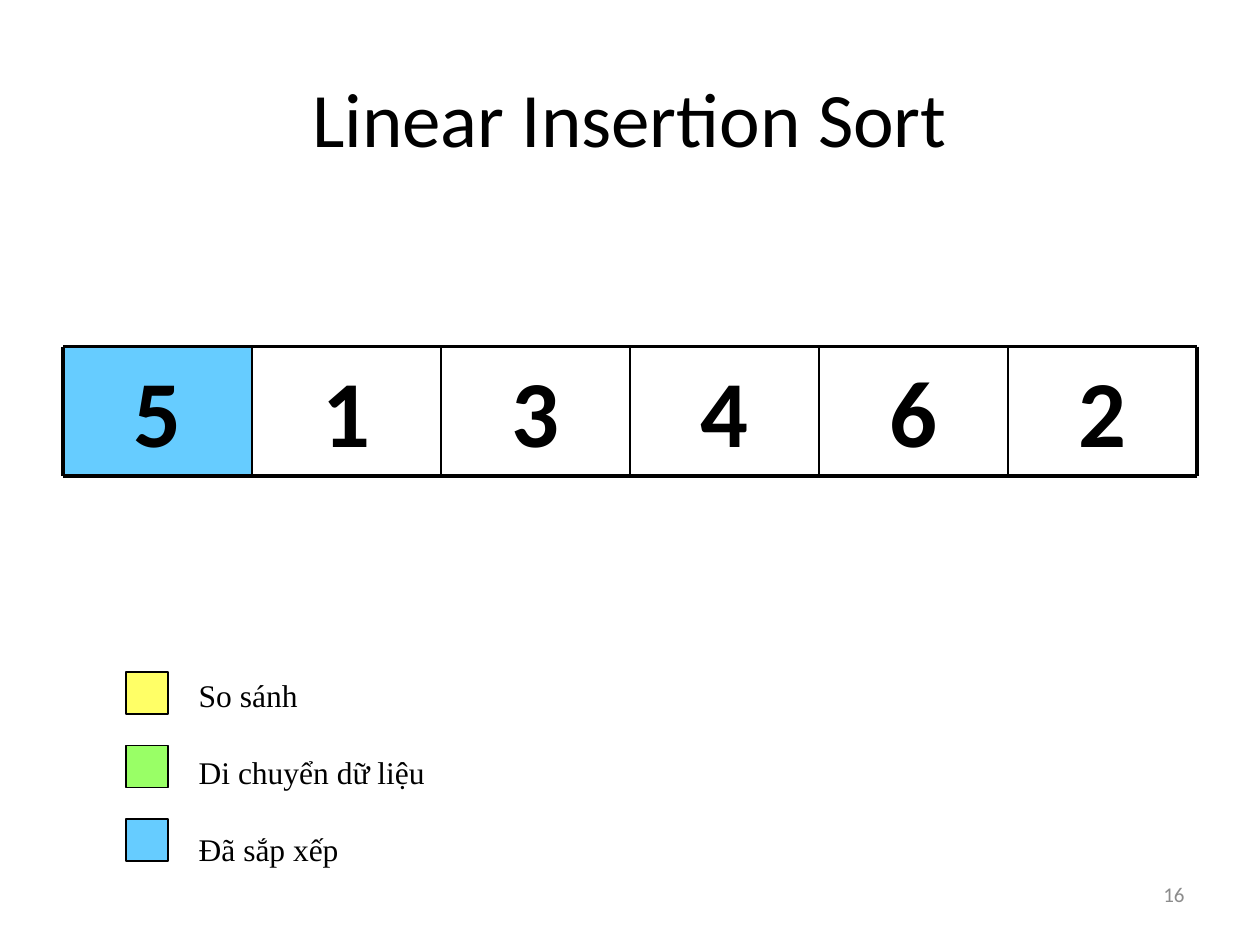
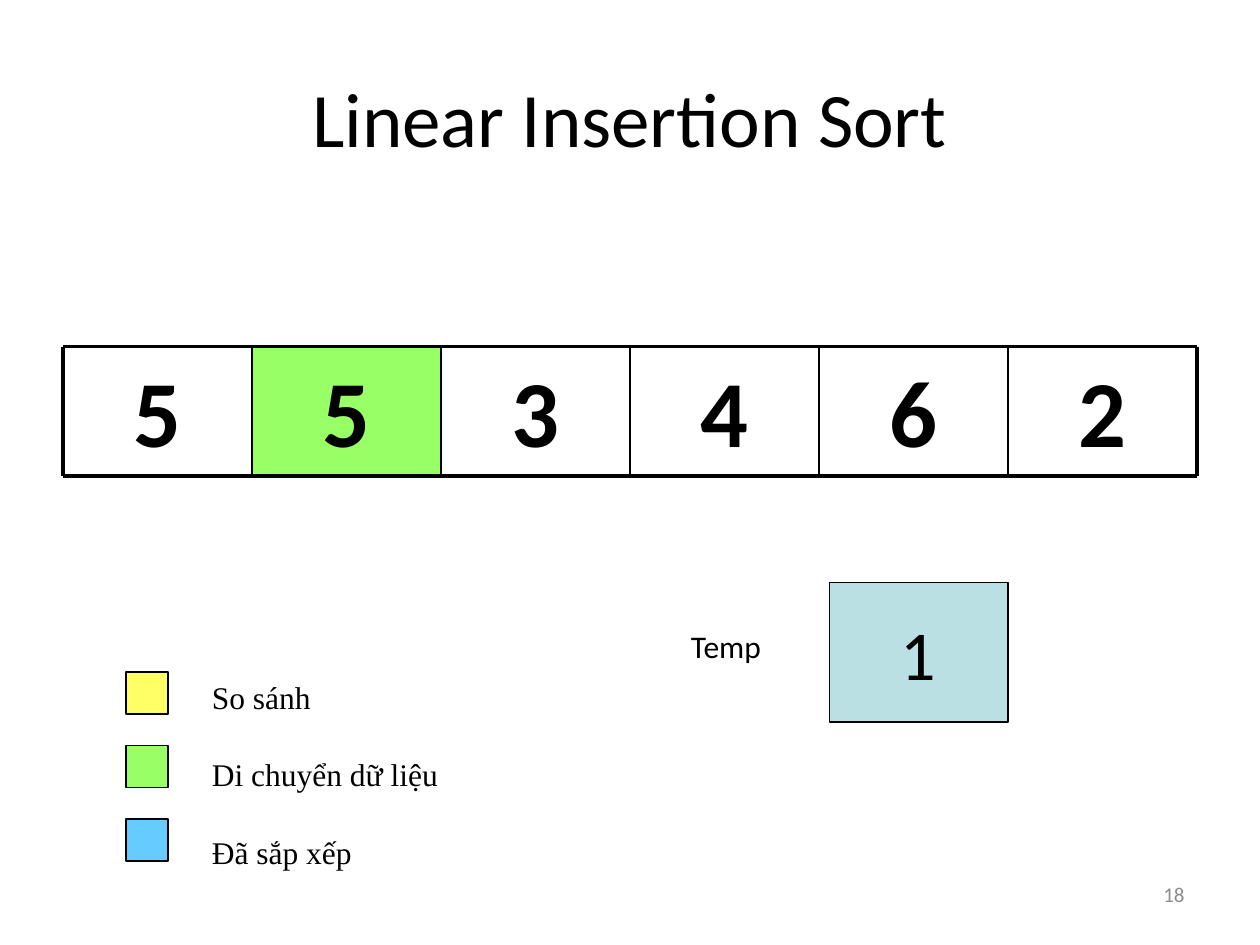
from lxml import etree
from pptx import Presentation
from pptx.dml.color import RGBColor
from pptx.enum.shapes import MSO_CONNECTOR, MSO_SHAPE
from pptx.enum.text import MSO_ANCHOR, PP_ALIGN
from pptx.oxml.ns import qn
from pptx.util import Pt

RECT = MSO_SHAPE.RECTANGLE
STRAIGHT = MSO_CONNECTOR.STRAIGHT
TOP, MIDDLE = MSO_ANCHOR.TOP, MSO_ANCHOR.MIDDLE
LEFT, CENTER, RIGHT = PP_ALIGN.LEFT, PP_ALIGN.CENTER, PP_ALIGN.RIGHT
PX = 9525


class Theme:
    black = RGBColor(0x00, 0x00, 0x00)
    white = RGBColor(0xFF, 0xFF, 0xFF)
    gray = RGBColor(0x8C, 0x8C, 0x8C)
    compare = RGBColor(0xFF, 0xFF, 0x66)
    move = RGBColor(0x99, 0xFF, 0x66)
    sorted = RGBColor(0x66, 0xCC, 0xFF)
    temp = RGBColor(0xBB, 0xE0, 0xE3)
    sans = "Calibri"
    serif = "Times New Roman"
    title, cell, held, body, number = 44, 54, 40, 18, 12
    thick, thin, outline = 2.25, 1, 0.75


def add_box(s, x, y, w, h, fill=None, line=None):
    box = (x * PX, y * PX, w * PX, h * PX)
    if fill is None:
        return s.shapes.add_textbox(*box)
    sp = s.shapes.add_shape(RECT, *box)
    sp.shadow.inherit = False
    sp.fill.solid()
    sp.fill.fore_color.rgb = fill
    if line is None:
        sp.line.fill.background()
    else:
        sp.line.color.rgb = Theme.black
        sp.line.width = Pt(line)
    return sp


def write(sp, lines, size, font=Theme.sans, align=LEFT, anchor=TOP,
          bold=False, color=Theme.black, gap=0):
    tf = sp.text_frame
    tf.word_wrap = True
    tf.vertical_anchor = anchor
    for i, text in enumerate(lines):
        p = tf.add_paragraph() if i else tf.paragraphs[0]
        p.alignment = align
        if i:
            p.space_before = Pt(gap)
        r = p.add_run()
        r.text = text
        r.font.name = font
        r.font.size = Pt(size)
        r.font.bold = bold
        r.font.color.rgb = color


ROW_X, ROW_Y, CELL_W, CELL_H, COUNT = 48, 264, 144, 99, 6
ROW_RIGHT, ROW_BOTTOM = ROW_X + COUNT * CELL_W, ROW_Y + CELL_H
LEGEND = [
    ("So sánh", Theme.compare),
    ("Di chuyển dữ liệu", Theme.move),
    ("Đã sắp xếp", Theme.sorted),
]
STEPS = [
    {"number": "16", "values": "513462", "fills": {0: Theme.sorted},
     "legend_at": (142, 510), "temp": None},
    {"number": "18", "values": "553462", "fills": {0: Theme.white, 1: Theme.move},
     "legend_at": (152, 512), "temp": "1"},
]

grid = [(ROW_X, y, ROW_RIGHT, y, Theme.thick) for y in (ROW_Y, ROW_BOTTOM)]
for i in range(COUNT + 1):
    x = ROW_X + i * CELL_W
    weight = Theme.thick if i in (0, COUNT) else Theme.thin
    grid.append((x, ROW_Y, x, ROW_BOTTOM, weight))

prs = Presentation()
prs.slide_width, prs.slide_height = 960 * PX, 720 * PX

for step in STEPS:
    s = prs.slides.add_slide(prs.slide_layouts[6])
    write(add_box(s, 48, 29, 864, 120), ["Linear Insertion Sort"],
          Theme.title, align=CENTER, anchor=MIDDLE)

    for i, value in enumerate(step["values"]):
        cell = add_box(s, ROW_X + i * CELL_W, ROW_Y, CELL_W, CELL_H, step["fills"].get(i))
        write(cell, [value], Theme.cell, align=CENTER, bold=True)

    for x1, y1, x2, y2, weight in grid:
        rule = s.shapes.add_connector(STRAIGHT, x1 * PX, y1 * PX, x2 * PX, y2 * PX)
        rule.line.color.rgb = Theme.black
        rule.line.width = Pt(weight)
        etree.SubElement(rule._element.spPr, qn("a:effectLst"))

    for i, (label, color) in enumerate(LEGEND):
        add_box(s, 96, 512 + i * 56, 32, 32, color, Theme.outline)
    write(add_box(s, *step["legend_at"], 210, 156), [label for label, color in LEGEND],
          Theme.body, Theme.serif, gap=22.5)

    if step["temp"]:
        write(add_box(s, 632, 444, 136, 106, Theme.temp, Theme.outline), [step["temp"]],
              Theme.held, align=CENTER, anchor=MIDDLE)
        write(add_box(s, 517, 473, 98, 38), ["Temp"], Theme.body)

    write(add_box(s, 688, 656, 224, 50), [step["number"]], Theme.number,
          align=RIGHT, anchor=MIDDLE, color=Theme.gray)

prs.save("out.pptx")
